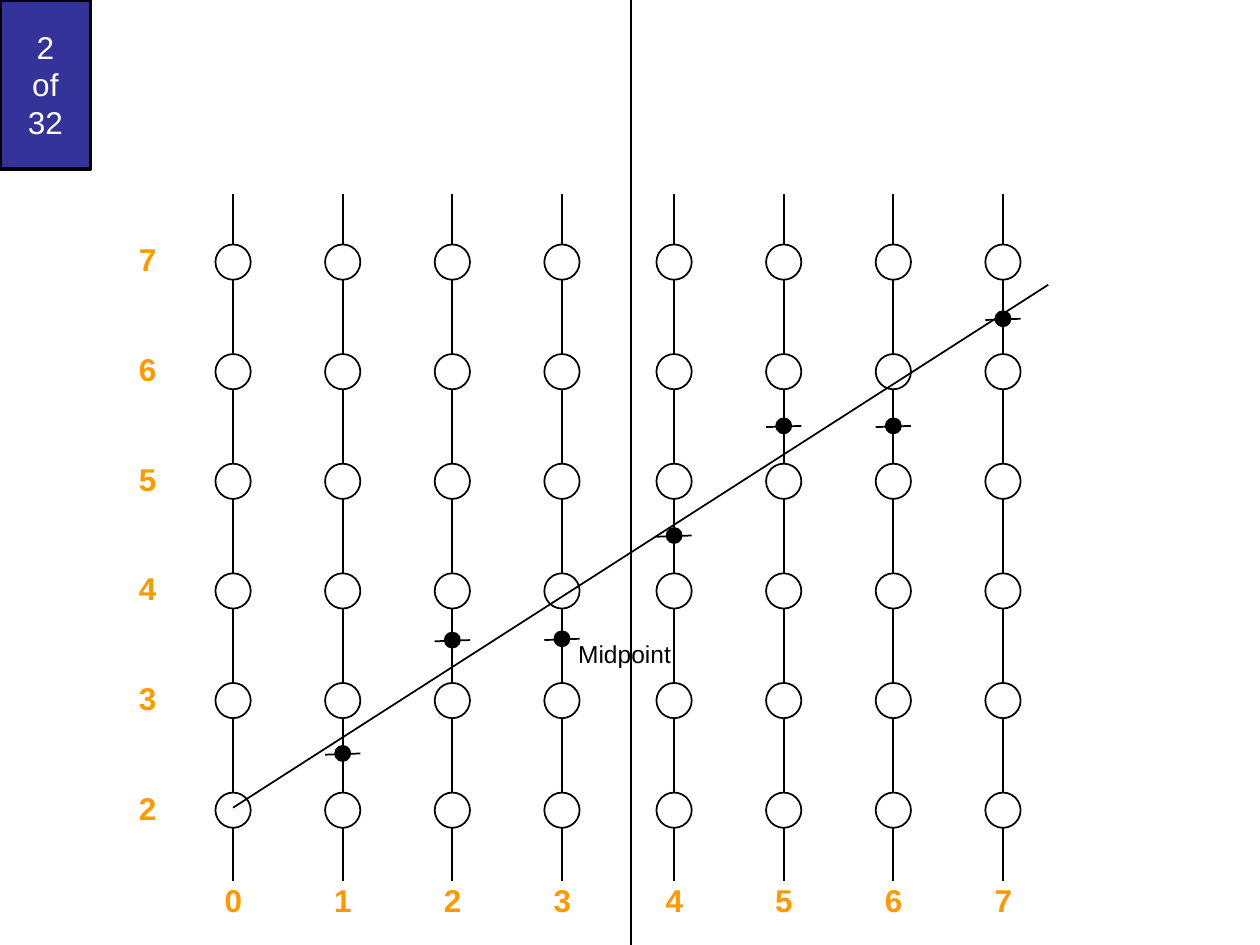
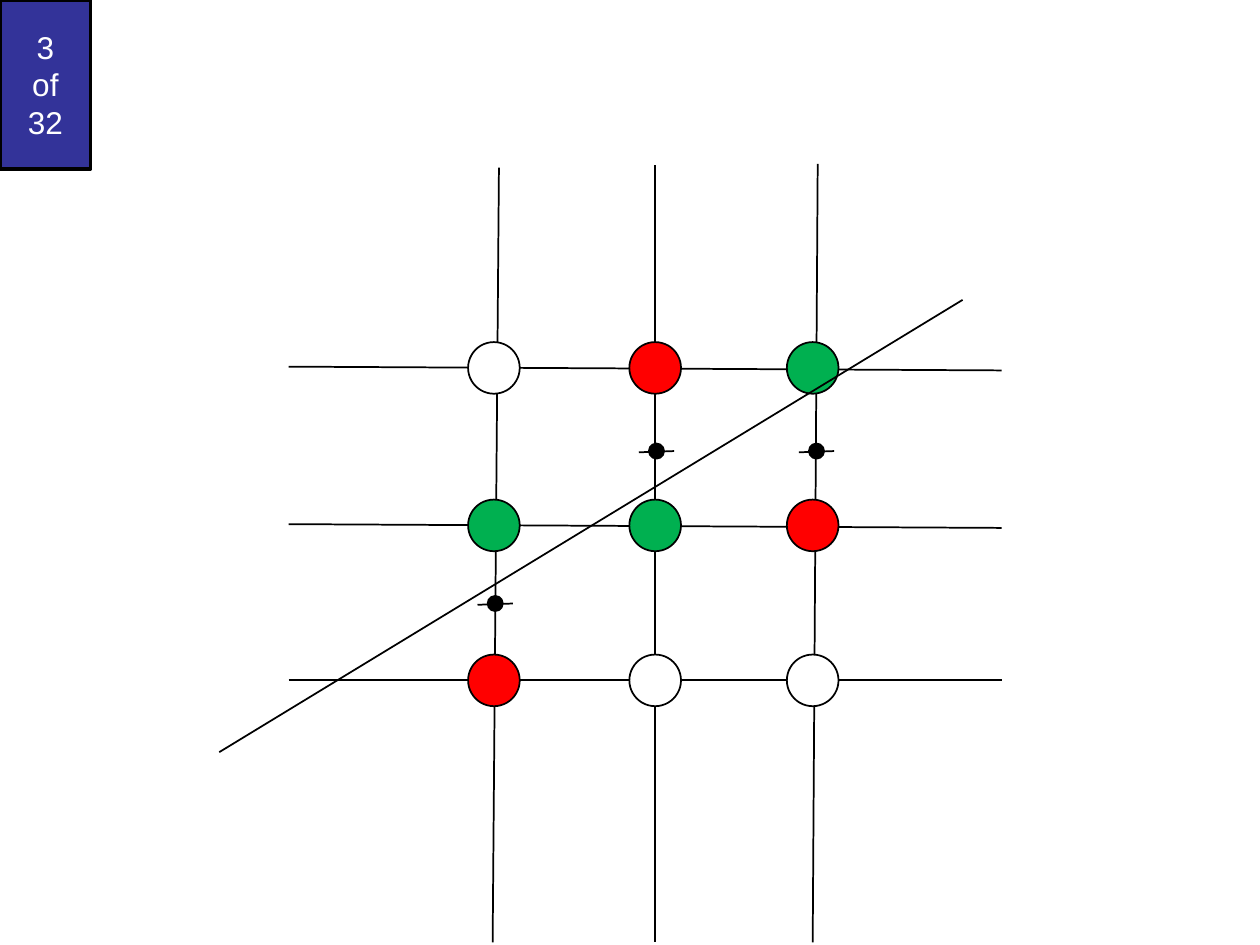
import pptx
import pptx.util
import pptx.dml.color
import pptx.enum.shapes
import pptx.enum.text
import pptx.oxml.ns
import lxml.etree
from dataclasses import dataclass

Inches = pptx.util.Inches
Pt = pptx.util.Pt
RGBColor = pptx.dml.color.RGBColor
SHAPE = pptx.enum.shapes.MSO_SHAPE
ALIGN = pptx.enum.text.PP_ALIGN

BLACK = RGBColor(0x00, 0x00, 0x00)
WHITE = RGBColor(0xFF, 0xFF, 0xFF)
BADGE_BLUE = RGBColor(0x33, 0x33, 0x99)
AXIS_ORANGE = RGBColor(0xFF, 0x99, 0x00)
RED = RGBColor(0xFF, 0x00, 0x00)
GREEN = RGBColor(0x00, 0xB0, 0x50)

BADGE_TEXT = {"size": Pt(18), "name": "Arial", "bold": False}
AXIS_TEXT = {"size": Pt(18), "name": "Arial", "bold": True}
NOTE_TEXT = {"size": Pt(14), "name": "Arial", "bold": False}

SLIDE_COUNT = 32
BLANK_LAYOUT = 6


@dataclass
class Box:
    left: float
    top: float
    width: float
    height: float

    def at(self, x, y):
        """Turn a point inside the box into a point on the slide."""
        return self.left + x, self.top + y


def write(frame, text, align, color, font_format):
    para = frame.paragraphs[0]
    para.text = text
    para.alignment = align
    for span in para.runs:
        for name, value in font_format.items():
            setattr(span.font, name, value)
        span.font.color.rgb = color


def add_label(page, box, text, align, color, font_format, wrap=True):
    label = page.shapes.add_textbox(
        Inches(box.left), Inches(box.top), Inches(box.width), Inches(box.height))
    label.text_frame.word_wrap = wrap
    label.text_frame.auto_size = pptx.enum.text.MSO_AUTO_SIZE.SHAPE_TO_FIT_TEXT
    write(label.text_frame, text, align, color, font_format)


def add_line(shapes, start, end):
    line = shapes.add_connector(
        pptx.enum.shapes.MSO_CONNECTOR.STRAIGHT,
        *(Inches(value) for value in (*start, *end)))
    line.line.color.rgb = BLACK
    line.line.width = Pt(1)
    lxml.etree.SubElement(line._element.spPr, pptx.oxml.ns.qn("a:effectLst"))


def add_filled(shapes, kind, box, fill, line_width=1):
    shape = shapes.add_shape(
        kind, Inches(box.left), Inches(box.top), Inches(box.width), Inches(box.height))
    shape.shadow.inherit = False
    shape.fill.solid()
    shape.fill.fore_color.rgb = fill
    shape.line.color.rgb = BLACK
    shape.line.width = Pt(line_width)
    return shape


def add_circle(shapes, center, diameter, fill):
    x, y = center
    box = Box(x - diameter / 2, y - diameter / 2, diameter, diameter)
    add_filled(shapes, SHAPE.OVAL, box, fill)


def add_midpoint(page, center):
    """A black dot on a short, slightly tilted tick."""
    x, y = center
    group = page.shapes.add_group_shape()
    add_line(group.shapes, (x - 0.14, y + 0.01), (x + 0.14, y))
    add_circle(group.shapes, center, 0.12, BLACK)


def add_badge(page, box, number):
    badge = add_filled(page.shapes, SHAPE.RECTANGLE, box, BADGE_BLUE, 2)
    badge.text_frame.word_wrap = True
    badge.text_frame.vertical_anchor = pptx.enum.text.MSO_ANCHOR.MIDDLE
    write(badge.text_frame, f"{number}\vof\v{SLIDE_COUNT}", ALIGN.CENTER, WHITE, BADGE_TEXT)


def add_pixel_grid(page, box):
    """Pixel columns 0-7 and rows 2-7, with the line and its midpoints."""
    step = 0.87
    columns = [step * i + (0.02 if i > 3 else 0) for i in range(8)]
    rows = {value: 0.54 + step * (7 - value) for value in range(7, 1, -1)}
    midpoint_heights = [4.44, 3.54, 3.53, 2.71, 1.84, 1.84, 0.99]

    for x in columns:
        add_line(page.shapes, box.at(x, 0), box.at(x, box.height))
    for y in rows.values():
        for x in columns:
            add_circle(page.shapes, box.at(x, y), 0.28, WHITE)

    row_labels = [(value, -0.85, y - 0.22) for value, y in rows.items()]
    column_labels = [(i, x - 0.17, box.height - 0.05) for i, x in enumerate(columns)]
    for value, x, y in row_labels + column_labels:
        add_label(page, Box(*box.at(x, y), 0.34, 0.4), str(value),
                  ALIGN.RIGHT, AXIS_ORANGE, AXIS_TEXT)

    add_line(page.shapes, box.at(0, 4.87), box.at(6.47, 0.72))
    for x, y in zip(columns[1:], midpoint_heights):
        add_midpoint(page, box.at(x, y))
    add_label(page, Box(*box.at(2.64, 3.48), 0.94, 0.34), "Midpoint",
              ALIGN.LEFT, BLACK, NOTE_TEXT, wrap=False)


def add_choice_grid(page, box):
    """Three by three pixels: chosen ones green, rejected ones red."""
    columns = [2.18, 3.46, 4.71]
    rows = {1.62: (WHITE, RED, GREEN),
            2.87: (GREEN, GREEN, RED),
            4.1: (RED, WHITE, WHITE)}
    grid_lines = [
        ((0.55, 1.61), (box.width, 1.64)),
        ((0.55, 2.86), (box.width, 2.89)),
        ((0.55, 4.1), (box.width, 4.1)),
        ((2.22, 0.03), (2.17, box.height)),
        ((3.46, 0.01), (3.46, box.height)),
        ((4.75, 0), (4.71, box.height)),
    ]
    grid = page.shapes.add_group_shape()
    for start, end in grid_lines:
        add_line(grid.shapes, box.at(*start), box.at(*end))
    for y, fills in rows.items():
        for x, fill in zip(columns, fills):
            add_circle(grid.shapes, box.at(x, y), 0.41, fill)
    add_line(grid.shapes, box.at(0, 4.67), box.at(5.9, 1.08))
    for midpoint in ((2.19, 3.49), (3.47, 2.28), (4.74, 2.28)):
        add_midpoint(page, box.at(*midpoint))


def add_page(deck, number):
    page = deck.slides.add_slide(deck.slide_layouts[BLANK_LAYOUT])
    add_badge(page, Box(0, 0, 0.72, 1.34), number)
    return page


def main():
    deck = pptx.Presentation()
    deck.slide_width = Inches(10)
    deck.slide_height = Inches(7.5)

    page = add_page(deck, 2)
    add_line(page.shapes, (5.01, 0), (5.01, 7.5))
    add_pixel_grid(page, Box(1.85, 1.54, 6.11, 5.45))

    page = add_page(deck, 3)
    add_choice_grid(page, Box(1.74, 1.3, 6.21, 6.18))

    deck.save("out.pptx")


if __name__ == "__main__":
    main()
